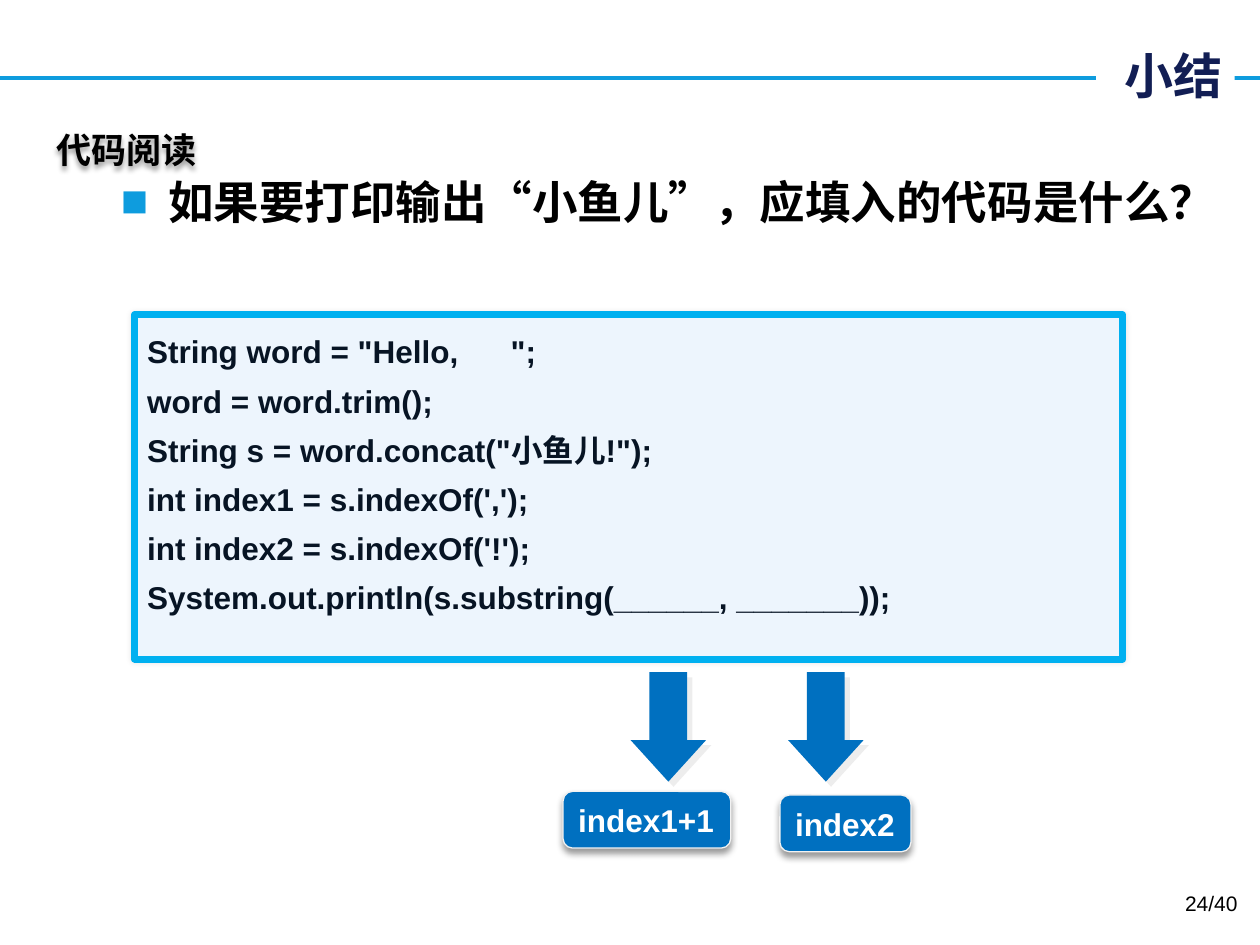
from lxml import etree
from pptx import Presentation
from pptx.dml.color import RGBColor
from pptx.enum import shapes, text
from pptx.oxml import ns
from pptx.util import Pt

LATIN, CJK = "Arial", "Noto Sans CJK SC"
BLACK = RGBColor(0x00, 0x00, 0x00)
WHITE = RGBColor(0xFF, 0xFF, 0xFF)
NAVY = RGBColor(0x12, 0x1E, 0x54)
RULE_BLUE = RGBColor(0x0E, 0x9C, 0xDE)
FRAME_BLUE = RGBColor(0x00, 0xB0, 0xF0)
PANEL = RGBColor(0xED, 0xF5, 0xFD)
CODE_INK = RGBColor(0x07, 0x14, 0x24)
ANSWER_BLUE = RGBColor(0x00, 0x70, 0xC0)
LABEL_EDGE = RGBColor(0xF2, 0xF2, 0xF2)
ARROW_SHADE = RGBColor(0xDD, 0xDD, 0xDD)

TITLE_BOX = (626.4, 22.3, 79.2, 41)
HEADING_BOX = (25.2, 69.8, 95.8, 31.7)
QUESTION_BOX = (62, 95.8, 658, 404.6)
CODE_BOX = (77, 180, 564.5, 196.6)
PAGE_BOX = (546.5, 505.4, 167.8, 28.8)
ARROW_LEFTS = (350.6, 440.6)
ANSWERS = (("index1+1", (321.8, 452.2, 95.8, 32.4)),
           ("index2", (445.7, 454.3, 74.9, 32.4)))

CODE = """String word = "Hello,      ";
word = word.trim();
String s = word.concat("小鱼儿!");
int index1 = s.indexOf(',');
int index2 = s.indexOf('!');
System.out.println(s.substring(______, _______));"""


def add_child(parent, tag, **attributes):
    child = etree.SubElement(parent, ns.qn(tag))
    for name, value in attributes.items():
        child.set(name, str(value))
    return child


def add_shadow(shape, color, alpha, blur, distance, angle):
    """Give the shape an outer shadow; alpha in percent, angle in degrees."""
    shape.shadow.inherit = False
    effects = shape._element.spPr.find(ns.qn("a:effectLst"))
    shadow = add_child(effects, "a:outerShdw", blurRad=Pt(blur), dist=Pt(distance),
                       dir=angle * 60000, algn="ctr", rotWithShape=0)
    tint = add_child(shadow, "a:srgbClr", val=color)
    add_child(tint, "a:alpha", val=alpha * 1000)


def write(shape, content, size, color, font=LATIN, bold=True,
          align=text.PP_ALIGN.LEFT, anchor=text.MSO_ANCHOR.TOP,
          wrap=True, line_spacing=None):
    frame = shape.text_frame
    frame.word_wrap = wrap
    frame.vertical_anchor = anchor
    for index, line in enumerate(content.split("\n")):
        paragraph = frame.add_paragraph() if index else frame.paragraphs[0]
        paragraph.alignment = align
        paragraph.line_spacing = line_spacing
        run = paragraph.add_run()
        run.text = line
        run.font.size = Pt(size)
        run.font.bold = bold
        run.font.color.rgb = color
        run.font.name = font
        add_child(run._r.get_or_add_rPr(), "a:ea", typeface=CJK)


def add_box(slide, kind, box, fill, line=None, line_width=0.75):
    shape = slide.shapes.add_shape(kind, *map(Pt, box))
    shape.shadow.inherit = False
    shape.fill.solid()
    shape.fill.fore_color.rgb = fill
    if line is None:
        shape.line.fill.background()
    else:
        shape.line.color.rgb = line
        shape.line.width = Pt(line_width)
    return shape


def add_text(slide, box, content, **style):
    shape = slide.shapes.add_textbox(*map(Pt, box))
    write(shape, content, **style)
    return shape


def add_title(slide, box):
    """Draw the rule across the slide, interrupted by the title."""
    rule = slide.shapes.add_connector(shapes.MSO_CONNECTOR.STRAIGHT,
                                      Pt(0), Pt(44.6), Pt(720), Pt(44.6))
    rule.line.color.rgb = RULE_BLUE
    rule.line.width = Pt(2.25)
    add_child(rule._element.spPr, "a:effectLst")
    title = add_box(slide, shapes.MSO_SHAPE.RECTANGLE, box, WHITE)
    write(title, "小结", size=28, color=NAVY, font=CJK, wrap=False,
          align=text.PP_ALIGN.RIGHT, anchor=text.MSO_ANCHOR.MIDDLE)


def add_question(slide, box):
    question = add_text(slide, box, "如果要打印输出“小鱼儿”，应填入的代码是什么？",
                        size=26, color=BLACK)
    properties = question.text_frame.paragraphs[0]._p.get_or_add_pPr()
    properties.set("marL", str(Pt(27)))
    properties.set("indent", str(-Pt(27)))
    add_child(add_child(properties, "a:buClr"), "a:srgbClr", val=RULE_BLUE)
    add_child(properties, "a:buFont", typeface=LATIN)
    add_child(properties, "a:buChar", char="■")


def add_code(slide, box):
    panel = add_box(slide, shapes.MSO_SHAPE.ROUNDED_RECTANGLE, box, PANEL, FRAME_BLUE, 4)
    panel.adjustments[0] = 0
    add_shadow(panel, BLACK, alpha=10, blur=3, distance=0, angle=0)
    write(panel, CODE, size=18, color=CODE_INK, line_spacing=1.3)


def add_arrow(slide, left):
    arrow = add_box(slide, shapes.MSO_SHAPE.RIGHT_ARROW, (left, 393.8, 62.6, 43.2),
                    ANSWER_BLUE)
    arrow.rotation = 90
    arrow.adjustments[0] = 0.5
    arrow.adjustments[1] = 0.55
    add_shadow(arrow, ARROW_SHADE, alpha=50, blur=0, distance=4.2, angle=45)


def add_answer(slide, label, box):
    answer = add_box(slide, shapes.MSO_SHAPE.ROUNDED_RECTANGLE, box,
                     ANSWER_BLUE, LABEL_EDGE)
    add_shadow(answer, BLACK, alpha=40, blur=4, distance=3, angle=90)
    write(answer, label, size=18, color=WHITE, wrap=False,
          anchor=text.MSO_ANCHOR.BOTTOM)


def main():
    presentation = Presentation()
    presentation.slide_width, presentation.slide_height = Pt(720), Pt(540)
    slide = presentation.slides.add_slide(presentation.slide_layouts[6])
    add_title(slide, TITLE_BOX)
    add_question(slide, QUESTION_BOX)
    add_code(slide, CODE_BOX)
    for left in ARROW_LEFTS:
        add_arrow(slide, left)
    for label, box in ANSWERS:
        add_answer(slide, label, box)
    heading = add_text(slide, HEADING_BOX, "代码阅读", size=20, color=BLACK,
                       font=CJK, wrap=False)
    add_shadow(heading, BLACK, alpha=40, blur=3, distance=2, angle=90)
    add_text(slide, PAGE_BOX, "24/40", size=12, color=BLACK, bold=False,
             align=text.PP_ALIGN.RIGHT)
    presentation.save("out.pptx")


if __name__ == "__main__":
    main()
